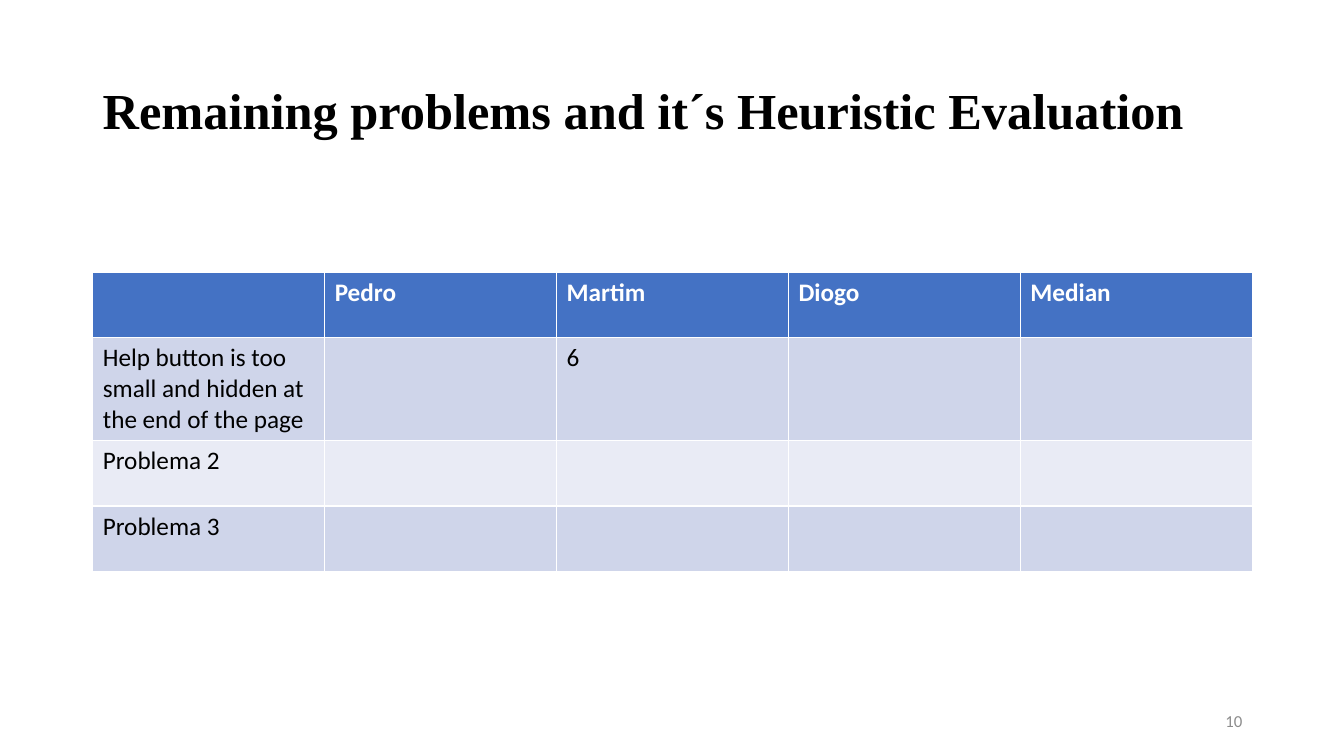
import pptx
import pptx.dml.color
import pptx.enum.text
import pptx.util

Inches = pptx.util.Inches
Pt = pptx.util.Pt
RGBColor = pptx.dml.color.RGBColor
PP_ALIGN = pptx.enum.text.PP_ALIGN

BLACK = RGBColor(0x00, 0x00, 0x00)
WHITE = RGBColor(0xFF, 0xFF, 0xFF)
GREY = RGBColor(0x8C, 0x8C, 0x8C)
HEADER_BLUE = RGBColor(0x44, 0x72, 0xC4)
BAND_DARK = RGBColor(0xCF, 0xD5, 0xEA)
BAND_LIGHT = RGBColor(0xE9, 0xEB, 0xF5)

EVALUATION_ROWS = [
    ["", "Pedro", "Martim", "Diogo", "Median"],
    ["Help button is too small and hidden at the end of the page", "", "6", "", ""],
    ["Problema 2", "", "", "", ""],
    ["Problema 3", "", "", "", ""],
]
ROW_HEIGHTS = [0.65, 1.02, 0.65, 0.65]
COLUMN_WIDTH = 2.3


def style_paragraph(paragraph, font_name, size, color, bold=False):
    font = paragraph.font
    font.name = font_name
    font.size = Pt(size)
    font.bold = bold
    font.color.rgb = color


def add_text(slide, text, left, top, width, height):
    shape = slide.shapes.add_textbox(
        Inches(left), Inches(top), Inches(width), Inches(height)
    )
    frame = shape.text_frame
    frame.word_wrap = True
    frame.vertical_anchor = pptx.enum.text.MSO_ANCHOR.MIDDLE
    frame.text = text
    return frame.paragraphs[0]


def add_evaluation_table(slide, left, top):
    column_count = len(EVALUATION_ROWS[0])
    table = slide.shapes.add_table(
        len(EVALUATION_ROWS), column_count, Inches(left), Inches(top),
        Inches(COLUMN_WIDTH * column_count), Inches(sum(ROW_HEIGHTS)),
    ).table
    for column in table.columns:
        column.width = Inches(COLUMN_WIDTH)
    for row_index, texts in enumerate(EVALUATION_ROWS):
        table.rows[row_index].height = Inches(ROW_HEIGHTS[row_index])
        is_header = row_index == 0
        band = BAND_DARK if row_index % 2 else BAND_LIGHT
        for column_index, text in enumerate(texts):
            cell = table.cell(row_index, column_index)
            cell.text = text
            cell.fill.solid()
            cell.fill.fore_color.rgb = HEADER_BLUE if is_header else band
            style_paragraph(
                cell.text_frame.paragraphs[0], "Calibri", 18,
                WHITE if is_header else BLACK, is_header,
            )


def main():
    presentation = pptx.Presentation()
    presentation.slide_width = Inches(13.33)
    presentation.slide_height = Inches(7.5)
    slide = presentation.slides.add_slide(presentation.slide_layouts[6])

    title = add_text(
        slide, "Remaining problems and it´s Heuristic Evaluation", 0.92, 0.4, 11.5, 1.45
    )
    title.line_spacing = 0.9
    style_paragraph(title, "Times New Roman", 36, BLACK, True)

    add_evaluation_table(slide, 0.92, 2.7)

    page_number = add_text(slide, "10", 9.42, 6.95, 3, 0.4)
    page_number.alignment = PP_ALIGN.RIGHT
    style_paragraph(page_number, "Calibri", 12, GREY)

    presentation.save("out.pptx")


if __name__ == "__main__":
    main()
